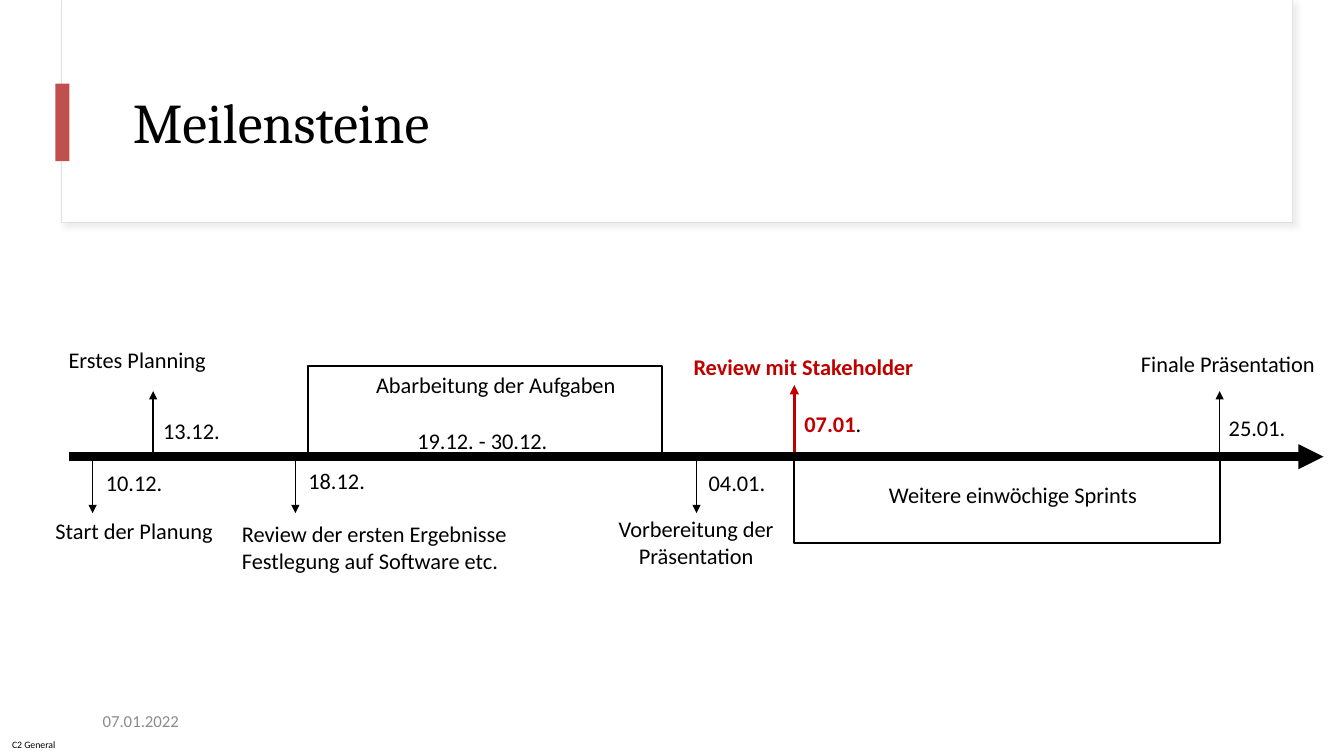
from lxml import etree
from pptx import Presentation
from pptx.dml.color import RGBColor
from pptx.enum.shapes import MSO_CONNECTOR, MSO_SHAPE
from pptx.enum.text import MSO_ANCHOR, PP_ALIGN
from pptx.oxml.ns import qn
from pptx.util import Pt

RECTANGLE = MSO_SHAPE.RECTANGLE
STRAIGHT = MSO_CONNECTOR.STRAIGHT
TOP, MIDDLE = MSO_ANCHOR.TOP, MSO_ANCHOR.MIDDLE
LEFT, CENTER = PP_ALIGN.LEFT, PP_ALIGN.CENTER

COLORS = {
    "black": "000000",
    "white": "FFFFFF",
    "red": "C00000",
    "accent": "C0504D",
    "frame": "E1E1E1",
    "shadow": "D9D9D9",
    "date": "8C8C8C",
}
AXIS_Y = 326.2
UP_Y, DOWN_Y = 279.4, 366.5
DATE_WIDTH = 41

ARROWS = [(66.2, DOWN_Y), (109.4, UP_Y), (211, DOWN_Y), (497.5, DOWN_Y), (871.2, UP_Y)]
DATES = [
    ("10.12.", 75.6, 334.8),
    ("13.12.", 116.6, 298.1),
    ("18.12.", 220.3, 333.4),
    ("04.01.", 506.2, 334.8),
    ("25.01.", 877.7, 295.9),
]
EVENTS = [
    ("Start der Planung", 39.6, 369.4, 113.8),
    ("Erstes Planning", 49, 247, 99.4),
    ("Review der ersten Ergebnisse\nFestlegung auf Software etc.", 172.8, 371.5, 192.2),
    ("19.12. - 30.12.", 298.1, 305.3, 94.3),
    ("Abarbeitung der Aufgaben", 268.6, 265, 172.8),
    ("Finale Präsentation", 815, 249.8, 126),
    ("Weitere einwöchige Sprints", 635, 343.4, 179.3),
]
PHASES = [(220.3, 261.4, 252.7, 64.8), (567.4, 328.3, 303.8, 59.8)]


def rgb(name):
    return RGBColor.from_string(COLORS[name])


def write_span(para, text, font="Calibri", size=16, color="black", bold=False):
    span = para.add_run()
    span.text = text
    span.font.name = font
    span.font.size = Pt(size)
    span.font.bold = bold
    span.font.color.rgb = rgb(color)


class Page:
    """Draws styled elements on one slide, with lengths in points."""

    def __init__(self, deck):
        self.shapes = deck.slides.add_slide(deck.slide_layouts[6]).shapes

    def text(self, text, left, top, width, height=23, wrap=False, align=LEFT,
             anchor=TOP, insets=(0, 0, 0, 3.6), spacing=None, **style):
        box = self.shapes.add_textbox(Pt(left), Pt(top), Pt(width), Pt(height))
        frame = box.text_frame
        frame.word_wrap = wrap
        frame.vertical_anchor = anchor
        frame.margin_left, frame.margin_top, frame.margin_right, frame.margin_bottom = map(Pt, insets)
        for index, line in enumerate(text.split("\n")):
            para = frame.add_paragraph() if index else frame.paragraphs[0]
            para.alignment = align
            if spacing:
                para.line_spacing = spacing
            write_span(para, line, **style)
        return box

    def rectangle(self, left, top, width, height, fill=None, line=None, weight=1.5):
        shape = self.shapes.add_shape(RECTANGLE, Pt(left), Pt(top), Pt(width), Pt(height))
        shape.shadow.inherit = False
        if fill:
            shape.fill.solid()
            shape.fill.fore_color.rgb = rgb(fill)
        else:
            shape.fill.background()
        if line:
            shape.line.color.rgb = rgb(line)
            shape.line.width = Pt(weight)
        else:
            shape.line.fill.background()
        return shape

    def shadow(self, shape, color, blur, distance, degrees, alpha):
        effects = shape._element.spPr.find(qn("a:effectLst"))
        outer = etree.SubElement(effects, qn("a:outerShdw"), blurRad=str(Pt(blur)),
                                 dist=str(Pt(distance)), dir=str(degrees * 60000),
                                 algn="tl", rotWithShape="0")
        tone = etree.SubElement(outer, qn("a:srgbClr"), val=COLORS[color])
        etree.SubElement(tone, qn("a:alpha"), val=str(alpha * 1000))

    def arrow(self, x1, y1, x2, y2, color="black", weight=1):
        arrow = self.shapes.add_connector(STRAIGHT, Pt(x1), Pt(y1), Pt(x2), Pt(y2))
        arrow.line.color.rgb = rgb(color)
        arrow.line.width = Pt(weight)
        etree.SubElement(arrow.line._get_or_add_ln(), qn("a:tailEnd"), type="triangle")
        etree.SubElement(arrow._element.spPr, qn("a:effectLst"))


def main():
    deck = Presentation()
    deck.slide_width, deck.slide_height = Pt(960), Pt(540)
    page = Page(deck)

    page.text("C2 General", 8.6, 523.4, 40, 16.6, anchor=MIDDLE, insets=(0, 0, 0, 0), size=7)
    header = page.rectangle(43.9, 0, 879.1, 159.1, fill="white", line="frame", weight=0.75)
    page.shadow(header, "shadow", blur=4, distance=3, degrees=45, alpha=50)
    page.rectangle(44.6, 0, 878.4, 158.4, fill="white")
    placeholder_insets = (7.2, 3.6, 7.2, 3.6)
    page.text("Meilensteine", 87.8, 43.2, 678.2, 92.9, wrap=True, anchor=MIDDLE,
              insets=placeholder_insets, spacing=0.9, font="Cambria", size=40)
    page.rectangle(39.6, 59.8, 10.1, 55.4, fill="accent")
    page.text("07.01.2022", 66.2, 500.4, 216, 28.8, wrap=True, anchor=MIDDLE,
              insets=placeholder_insets, size=12, color="date")

    page.arrow(49, AXIS_Y, 945.4, AXIS_Y, weight=6)
    for x, end_y in ARROWS:
        page.arrow(x, AXIS_Y, x, end_y)
    for phase in PHASES:
        page.rectangle(*phase, line="black")
    page.arrow(567.4, 322.6, 567.4, 275, color="red", weight=2.25)

    for date, left, top in DATES:
        page.text(date, left, top, DATE_WIDTH)
    for event, left, top, width in EVENTS:
        page.text(event, left, top, width, 23 + 19.5 * event.count("\n"))
    page.text("Vorbereitung der Präsentation", 427, 367.9, 140.4, 42.5, wrap=True, align=CENTER)
    page.text("Review mit Stakeholder", 495.4, 252, 158.4, color="red", bold=True)
    review_date = page.text("07.01", 574.6, 293, DATE_WIDTH, color="red", bold=True)
    write_span(review_date.text_frame.paragraphs[0], ".")

    deck.save("out.pptx")


if __name__ == "__main__":
    main()
